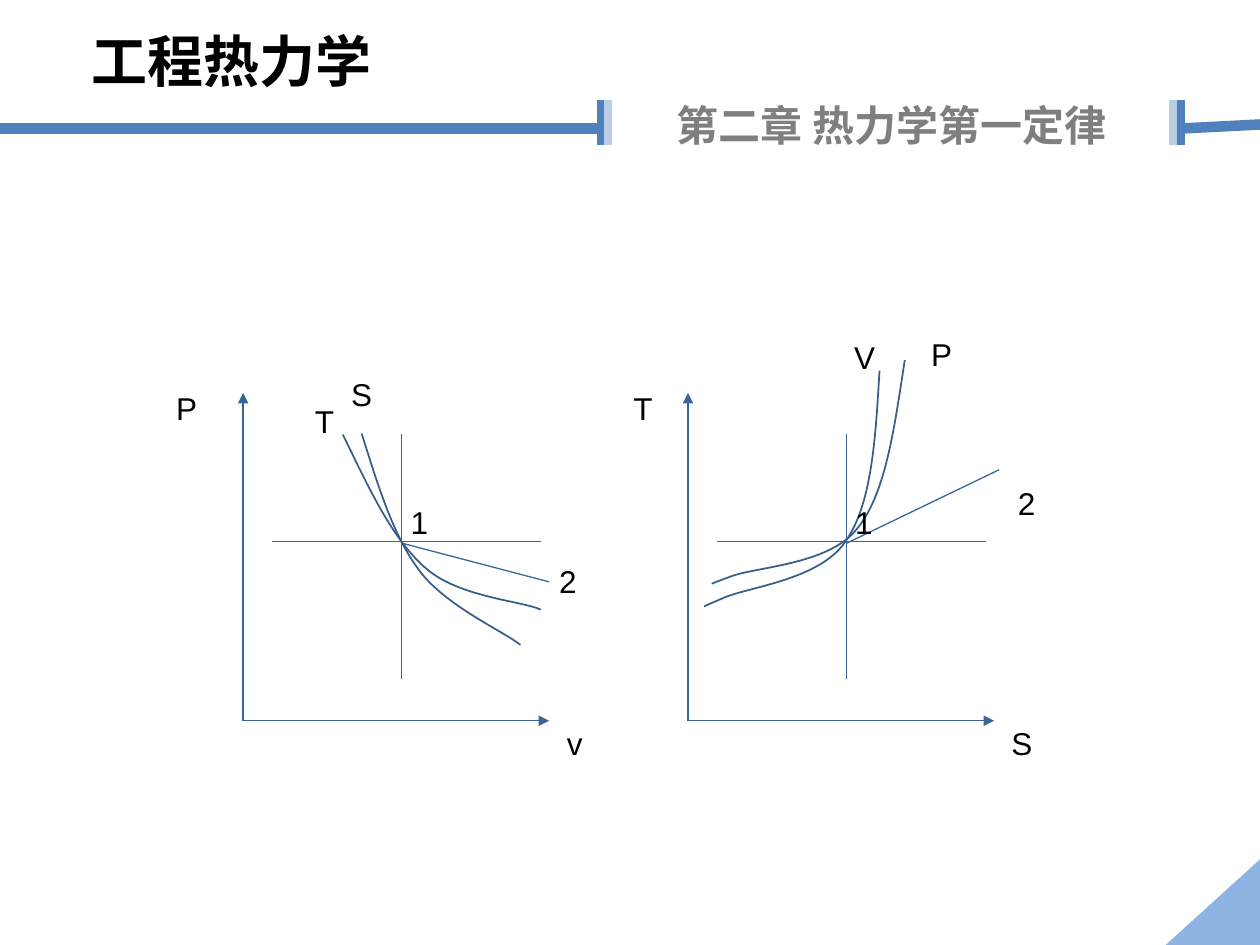
from math import cos, radians, sin

from lxml import etree
from pptx import Presentation
from pptx.dml.color import RGBColor
from pptx.enum.shapes import MSO_CONNECTOR, MSO_SHAPE
from pptx.enum.text import MSO_AUTO_SIZE, PP_ALIGN
from pptx.oxml.ns import qn
from pptx.util import Cm, Pt

STRAIGHT = MSO_CONNECTOR.STRAIGHT
TRIANGLE = MSO_SHAPE.ISOSCELES_TRIANGLE
FIT_SHAPE = MSO_AUTO_SIZE.SHAPE_TO_FIT_TEXT
LEFT, CENTER = PP_ALIGN.LEFT, PP_ALIGN.CENTER


def color(hex_value):
    return RGBColor.from_string(hex_value)


def turn(x, y, degrees):
    angle = radians(degrees)
    return x * cos(angle) - y * sin(angle), x * sin(angle) + y * cos(angle)


class Deck:
    HEADING_FONT, LABEL_FONT = "Noto Sans CJK SC", "Arial"
    BLACK, GRAY = "000000", "7F7F7F"
    BLUE, PALE, CORNER = "4F81BD", "B9CDE5", "8EB4E3"
    AXIS, CURVE = "39659B", "385D8A"

    def __init__(self):
        self.presentation = Presentation()
        self.presentation.slide_width = Cm(25.4)
        self.presentation.slide_height = Cm(19.05)
        self.slide = self.presentation.slides.add_slide(
            self.presentation.slide_layouts[6])

    def text(self, words, x, y, width, height, size, font_name,
             ink=BLACK, bold=False, align=LEFT):
        box = self.slide.shapes.add_textbox(Cm(x), Cm(y), Cm(width), Cm(height))
        frame = box.text_frame
        frame.word_wrap = True
        frame.auto_size = FIT_SHAPE
        paragraph = frame.paragraphs[0]
        paragraph.alignment = align
        run = paragraph.add_run()
        run.text = words
        run.font.color.rgb = color(ink)
        for attribute, value in {"size": Pt(size), "bold": bold,
                                 "name": font_name}.items():
            setattr(run.font, attribute, value)
        east_asian = etree.SubElement(run._r.get_or_add_rPr(), qn("a:ea"))
        east_asian.set("typeface", font_name)

    def label(self, words, x, y):
        self.text(words, x, y, 0.8, 1.02, 18, self.LABEL_FONT)

    def line(self, x1, y1, x2, y2, ink=AXIS, width=0.75, arrow=False):
        connector = self.slide.shapes.add_connector(
            STRAIGHT, Cm(x1), Cm(y1), Cm(x2), Cm(y2))
        connector.line.color.rgb = color(ink)
        connector.line.width = Pt(width)
        if arrow:
            outline = connector.line._get_or_add_ln()
            etree.SubElement(outline, qn("a:tailEnd")).set("type", "triangle")
        etree.SubElement(connector._element.spPr, qn("a:effectLst"))

    def triangle(self, x, y, width, height, fill):
        shape = self.slide.shapes.add_shape(
            TRIANGLE, Cm(x), Cm(y), Cm(width), Cm(height))
        shape.shadow.inherit = False
        shape.fill.solid()
        shape.fill.fore_color.rgb = color(fill)
        shape.line.fill.background()

    def curve(self, points, rotation):
        """Bezier curve: a start point, then three points per segment."""
        # Turn the points back, keeping the centre of their box in place
        level = [turn(x, y, -rotation) for x, y in points]
        center = [(min(axis) + max(axis)) / 2 for axis in zip(*level)]
        pivot = turn(*center, rotation)
        start, *rest = [
            (Cm(x - center[0] + pivot[0]), Cm(y - center[1] + pivot[1]))
            for x, y in level]
        builder = self.slide.shapes.build_freeform(*start)
        builder.add_line_segments(rest, close=False)
        shape = builder.convert_to_shape()
        shape.rotation = rotation
        shape.shadow.inherit = False
        shape.fill.background()
        shape.line.color.rgb = color(self.CURVE)
        shape.line.width = Pt(1)
        # Join each three straight steps into one Bezier segment
        steps = list(shape._element.iter(qn("a:lnTo")))
        outline = steps[0].getparent()
        for first in range(0, len(steps), 3):
            segment = etree.SubElement(outline, qn("a:cubicBezTo"))
            for step in steps[first:first + 3]:
                segment.append(step[0])
                outline.remove(step)

    def axes(self, shift):
        self.line(4.9 + shift, 14.53, 4.9 + shift, 7.92, arrow=True)
        self.line(4.9 + shift, 14.53, 11.07 + shift, 14.53, arrow=True)
        self.line(5.49 + shift, 10.92, 10.9 + shift, 10.92)
        self.line(8.1 + shift, 8.74, 8.1 + shift, 13.69)


PLOTS = [
    {  # P-v diagram
        "shift": 0,
        "process": (8.1, 10.95, 11.07, 11.73),
        "labels": [("P", 3.3, 7.72), ("v", 11.18, 14.48), ("S", 6.83, 7.44),
                   ("T", 6.1, 7.98), ("1", 8.03, 10.01), ("2", 11.02, 11.2)],
        "curves": [
            (22.7, [(6.91, 8.76), (7.42, 9.8), (7.9, 10.87), (8.59, 11.46),
                    (9.25, 12.04), (10.54, 12.12), (10.9, 12.29)]),
            (38.7, [(7.29, 8.74), (7.62, 9.78), (7.92, 10.8), (8.46, 11.51),
                    (8.99, 12.22), (10.16, 12.73), (10.49, 13)]),
        ],
    },
    {  # T-S diagram
        "shift": 8.97,
        "process": (17.07, 10.95, 20.14, 9.47),
        "labels": [("T", 12.52, 7.72), ("S", 20.14, 14.48), ("V", 16.97, 6.68),
                   ("P", 18.52, 6.63), ("1", 16.99, 10.01), ("2", 20.27, 9.63)],
        "curves": [
            (27.8, [(18.24, 7.26), (18.03, 8.61), (17.86, 9.96), (17.27, 10.67),
                    (16.69, 11.4), (15.19, 11.43), (14.71, 11.63),
                    (14.22, 11.81), (14.38, 11.76), (14.38, 11.76)]),
            (23.6, [(17.73, 7.47), (17.65, 8.81), (17.58, 10.16), (17.04, 10.92),
                    (16.51, 11.71), (15.01, 11.84), (14.55, 12.07),
                    (14.07, 12.27), (14.22, 12.22), (14.22, 12.22)]),
        ],
    },
]


def main():
    deck = Deck()

    # Corner and headings
    deck.triangle(23.5, 17.32, 3.81, 1.73, deck.CORNER)
    deck.text("工程热力学", 1.6, 0.41, 7.11, 1.63, 32, deck.HEADING_FONT, bold=True)
    deck.text("第二章 热力学第一定律", 11.91, 1.88, 12.12, 1.27, 24,
              deck.HEADING_FONT, deck.GRAY, True, CENTER)

    # Header rule with end bars
    deck.line(23.83, 2.59, 25.4, 2.51, deck.BLUE, 6)
    for x, ink in [(12.12, deck.BLUE), (23.8, deck.BLUE),
                   (12.25, deck.PALE), (23.65, deck.PALE)]:
        deck.line(x, 2.01, x, 2.92, ink, 4.5)
    deck.line(0, 2.59, 12.12, 2.59, deck.BLUE, 6)

    # Diagrams
    for plot in PLOTS:
        deck.axes(plot["shift"])
        deck.line(*plot["process"])
        for rotation, points in plot["curves"]:
            deck.curve(points, rotation)
        for words, x, y in plot["labels"]:
            deck.label(words, x, y)

    deck.presentation.save("out.pptx")


if __name__ == "__main__":
    main()
